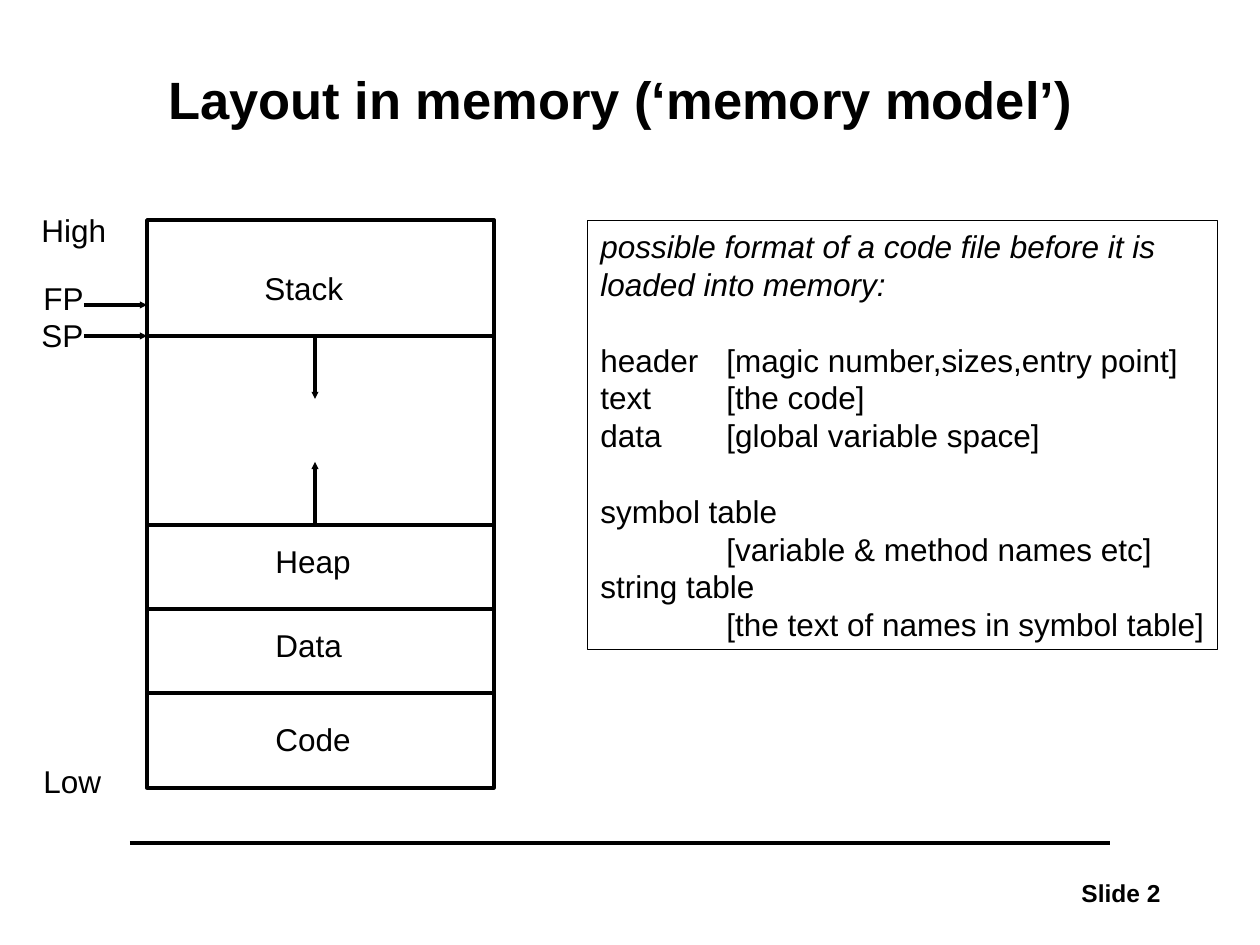
from pptx import Presentation
from pptx.dml.color import RGBColor
from pptx.enum.shapes import MSO_CONNECTOR, MSO_SHAPE
from pptx.enum.text import MSO_ANCHOR, PP_ALIGN
from pptx.oxml.ns import qn
from pptx.util import Pt
from lxml import etree

SCALE = 914400 / 126
STRAIGHT = MSO_CONNECTOR.STRAIGHT
RECTANGLE = MSO_SHAPE.RECTANGLE
TOP, MIDDLE = MSO_ANCHOR.TOP, MSO_ANCHOR.MIDDLE
LEFT, CENTER, RIGHT = PP_ALIGN.LEFT, PP_ALIGN.CENTER, PP_ALIGN.RIGHT
COLORS = {"ink": "000000", "paper": "FFFFFF"}


def px(value):
    return round(value * SCALE)


def color(name):
    return RGBColor.from_string(COLORS[name])


def write(paragraph, text, size=18, bold=False, italic=False, align=LEFT,
          spacing=Pt(21.6), before=0, indent=0, tab=0):
    paragraph.alignment = align
    paragraph.line_spacing = spacing
    paragraph.space_before = Pt(before)
    properties = paragraph._p.get_or_add_pPr()
    if indent:
        properties.set("marL", str(px(indent)))
        properties.set("indent", "0")
    if tab:
        stops = etree.SubElement(properties, qn("a:tabLst"))
        etree.SubElement(stops, qn("a:tab"), pos=str(px(tab)), algn="l")
    run = paragraph.add_run()
    run.text = text
    font = run.font
    font.name, font.size, font.bold, font.italic = "Arial", Pt(size), bold, italic
    font.color.rgb = color("ink")


class Diagram:
    def __init__(self, slide, line_width=2):
        self.slide = slide
        self.line_width = line_width

    def line(self, start, end, arrow=False):
        connector = self.slide.shapes.add_connector(
            STRAIGHT, *(px(value) for value in (*start, *end)))
        connector.line.color.rgb = color("ink")
        connector.line.width = Pt(self.line_width)
        if arrow:
            etree.SubElement(connector.line._get_or_add_ln(), qn("a:tailEnd"),
                             type="triangle", w="sm", len="sm")
        etree.SubElement(connector._element.spPr, qn("a:effectLst"))

    def box(self, left, top, width, height, fill=None, line_width=None):
        shape = self.slide.shapes.add_shape(
            RECTANGLE, px(left), px(top), px(width), px(height))
        shape.shadow.inherit = False
        if fill:
            shape.fill.solid()
            shape.fill.fore_color.rgb = color(fill)
        else:
            shape.fill.background()
        shape.line.color.rgb = color("ink")
        shape.line.width = Pt(line_width or self.line_width)
        return shape

    def text(self, text, left, top, width, height=50, anchor=TOP, **style):
        shape = self.slide.shapes.add_textbox(px(left), px(top), px(width), px(height))
        shape.text_frame.word_wrap = True
        shape.text_frame.vertical_anchor = anchor
        write(shape.text_frame.paragraphs[0], text, **style)

    def note(self, entries, left, top, width, height):
        frame = self.box(left, top, width, height, line_width=0.5).text_frame
        frame.word_wrap = True
        frame.vertical_anchor = TOP
        for index, (text, style) in enumerate(entries):
            paragraph = frame.add_paragraph() if index else frame.paragraphs[0]
            write(paragraph, text, **style)


presentation = Presentation()
presentation.slide_width, presentation.slide_height = px(1260), px(945)
diagram = Diagram(presentation.slides.add_slide(presentation.slide_layouts[6]))

diagram.line((130, 843), (1110, 843))
diagram.text("Slide 2", 963, 872, 210, 42, size=14, bold=True, align=RIGHT, spacing=1.0)
diagram.text("Layout in memory (‘memory model’)", 136, 42, 969, 121,
             anchor=MIDDLE, size=30, bold=True, align=CENTER, spacing=0.9)

memory_left, memory_top, memory_right, memory_bottom = 147, 220, 494, 788
stack_end, heap_start, data_start, code_start = 336, 525, 609, 693
diagram.box(memory_left, memory_top, memory_right - memory_left,
            memory_bottom - memory_top, fill="paper")
for boundary in (stack_end, heap_start, data_start, code_start):
    diagram.line((memory_left, boundary), (memory_right, boundary))

for label, left, top, width in (
        ("Stack", 252, 263, 115), ("Heap", 263, 536, 115),
        ("Data", 263, 620, 115), ("Code", 263, 714, 115),
        ("High", 29, 205, 100), ("Low", 31, 756, 100),
        ("FP", 31, 273, 75), ("SP", 29, 310, 75)):
    diagram.text(label, left, top, width)

growth_x, growth = 315, 63
diagram.line((growth_x, stack_end), (growth_x, stack_end + growth), arrow=True)
diagram.line((growth_x, heap_start), (growth_x, heap_start - growth), arrow=True)
for pointer_y in (305, stack_end):
    diagram.line((84, pointer_y), (memory_left, pointer_y), arrow=True)

column = 126
section = {"before": 21.6}
row = {"tab": column}
detail = {"indent": column}
diagram.note([
    ("possible format of a code file before it is loaded into memory:", {"italic": True}),
    ("header\t[magic number,sizes,entry point]", {**section, **row}),
    ("text\t[the code]", row),
    ("data\t[global variable space]", row),
    ("symbol table", section),
    ("[variable & method names etc]", detail),
    ("string table", {}),
    ("[the text of names in symbol table]", detail),
], 588, 221, 630, 429)

presentation.save("out.pptx")
